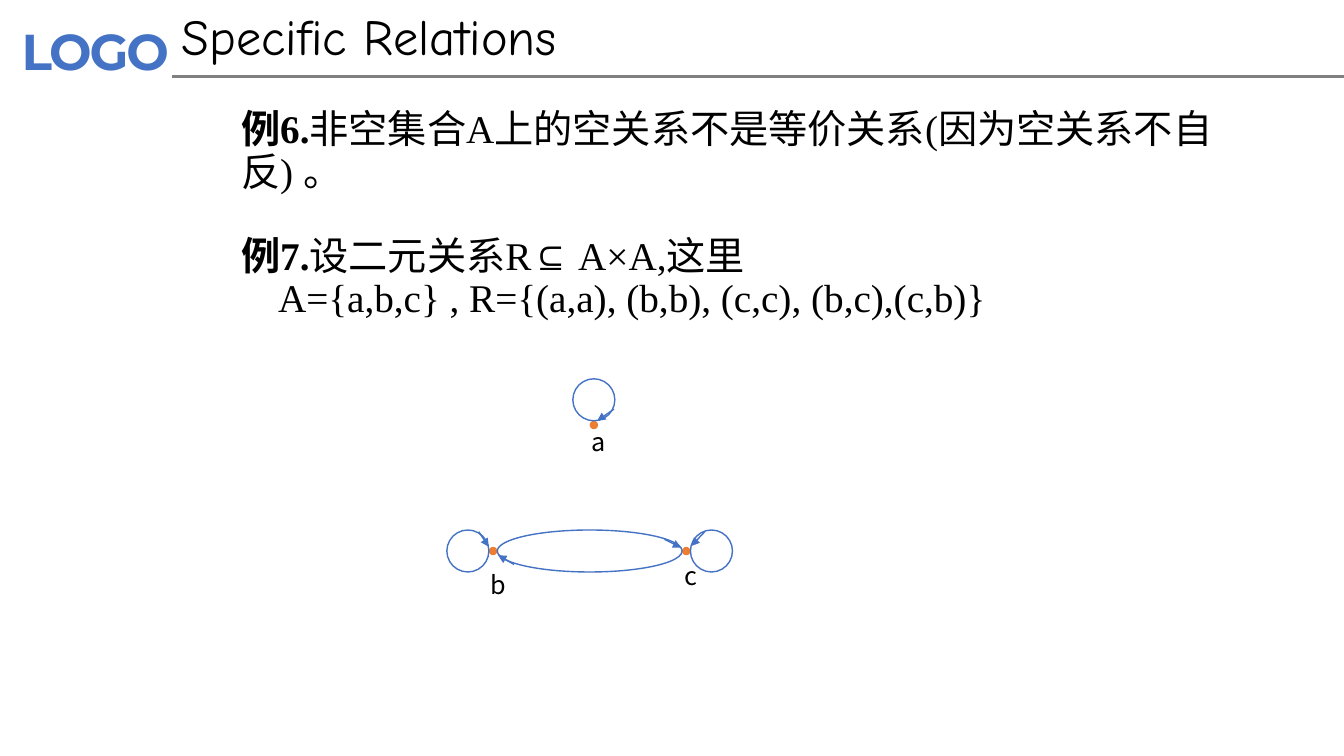
from dataclasses import dataclass

from lxml.etree import SubElement
from pptx import Presentation
from pptx.dml.color import RGBColor
from pptx.enum.shapes import MSO_CONNECTOR, MSO_SHAPE
from pptx.enum.text import MSO_ANCHOR, MSO_AUTO_SIZE, PP_ALIGN
from pptx.oxml.ns import qn
from pptx.util import Inches, Pt


@dataclass(frozen=True)
class Theme:
    ink: RGBColor = RGBColor(0x00, 0x00, 0x00)
    edge: RGBColor = RGBColor(0x44, 0x72, 0xC4)
    dot: RGBColor = RGBColor(0xED, 0x7D, 0x31)
    rule: RGBColor = RGBColor(0x80, 0x80, 0x80)
    head_size: int = 36
    body_size: int = 28
    label_size: int = 18
    head_font: str = "Comic Neue"
    body_font: str = "Times New Roman"
    logo_font: str = "Montserrat"
    cjk_font: str = "Noto Sans CJK SC"


@dataclass(frozen=True)
class Node:
    """Graph vertex: centre, side of its loop, label offset, loop arrow."""
    name: str
    x: float
    y: float
    side: tuple[int, int]
    label: tuple[float, float]
    arrow: tuple[float, float, float, float]


@dataclass(frozen=True)
class Line:
    """Body paragraph: bold lead, plain text, indent in cells, space before in points."""
    lead: str
    text: str
    indent: float = 0
    before: int = 0


THEME = Theme()
COLUMNS, ROWS = 80, 45
WIDTH, HEIGHT = Inches(13.33), Inches(7.5)
DOT, LOOP, LOOP_GAP = 0.5, 2.5, 1.5

LINES = [
    Line("例6.", "非空集合A上的空关系不是等价关系(因为空关系不自反) 。"),
    Line("例7.", "设二元关系R⊆ A×A,这里", before=30),
    Line("", "A={a,b,c} , R={(a,a), (b,b), (c,c), (b,c),(c,b)}", indent=2.2),
]
A = Node("a", 35.35, 25.3, (0, -1), (-0.75, -0.2), (1.2, -0.95, 0.2, -0.25))
B = Node("b", 29.35, 32.8, (-1, 0), (-0.75, 0.8), (-0.85, -1.15, -0.25, -0.25))
C = Node("c", 40.85, 32.8, (1, 0), (-0.7, 0.25), (1.1, -1.15, 0.3, -0.3))


def col(n: float) -> int:
    return round(WIDTH * n / COLUMNS)


def row(n: float) -> int:
    return round(HEIGHT * n / ROWS)


def box(x: float, y: float, w: float, h: float) -> tuple[int, int, int, int]:
    return col(x), row(y), col(w), row(h)


def style(r, font: str, size: int, color: RGBColor, bold: bool = False) -> None:
    r.font.name, r.font.size, r.font.bold = font, Pt(size), bold
    r.font.color.rgb = color
    SubElement(r.font._element, qn("a:ea")).set("typeface", THEME.cjk_font)


def place(sp, x: float, y: float, w: float, h: float):
    sp.left, sp.top, sp.width, sp.height = box(x, y, w, h)
    tf = sp.text_frame
    tf.word_wrap, tf.auto_size = True, MSO_AUTO_SIZE.NONE
    tf.vertical_anchor = MSO_ANCHOR.TOP
    return tf


def add_text(s, text: str, bounds: tuple[float, float, float, float],
             font: str, size: int, color: RGBColor, bold: bool = False):
    sp = s.shapes.add_textbox(*box(*bounds))
    tf = place(sp, *bounds)
    tf.text = text
    style(tf.paragraphs[0].runs[0], font, size, color, bold)
    return tf


def add_ellipse(s, x: float, y: float, w: float, h: float, filled: bool = False) -> None:
    sp = s.shapes.add_shape(MSO_SHAPE.OVAL, *box(x - w / 2, y - h / 2, w, h))
    sp.shadow.inherit = False
    if filled:
        sp.fill.solid()
        sp.fill.fore_color.rgb = THEME.dot
        sp.line.fill.background()
    else:
        sp.fill.background()
        sp.line.color.rgb, sp.line.width = THEME.edge, Pt(1)


def add_line(s, x1: float, y1: float, x2: float, y2: float,
             color: RGBColor, width: int, arrow: bool = False) -> None:
    ln = s.shapes.add_connector(MSO_CONNECTOR.STRAIGHT, col(x1), row(y1), col(x2), row(y2))
    ln.line.color.rgb, ln.line.width = color, Pt(width)
    if arrow:
        SubElement(ln.line._get_or_add_ln(), qn("a:tailEnd")).set("type", "triangle")
    SubElement(ln._element.spPr, qn("a:effectLst"))


def add_arrow(s, node: Node, offsets: tuple[float, float, float, float]) -> None:
    x1, y1, x2, y2 = offsets
    add_line(s, node.x + x1, node.y + y1, node.x + x2, node.y + y2, THEME.edge, 1, arrow=True)


def add_header(s) -> None:
    tf = add_text(s, "LOGO", (0.5, 0.8, 11.15, 4.45), THEME.logo_font,
                  THEME.head_size, THEME.edge, bold=True)
    tf.margin_left = tf.margin_right = Inches(0.13)
    tf.margin_top = tf.margin_bottom = Inches(0.07)
    tf.paragraphs[0].runs[0].font._element.set("spc", "-150")
    add_line(s, 10.25, 4.55, COLUMNS, 4.55, THEME.rule, 2)

    tf = place(s.shapes.title, 9.3, 0, 37.8, 4.25)
    tf.margin_left = col(1.5)
    tf.text = "Specific Relations"
    p = tf.paragraphs[0]
    p.alignment = PP_ALIGN.LEFT
    style(p.runs[0], THEME.head_font, THEME.head_size, THEME.ink)


def add_body(s) -> None:
    tf = place(s.placeholders[1], 13.75, 6.25, 63.85, 10.8)
    for i, line in enumerate(LINES):
        p = tf.paragraphs[0] if i == 0 else tf.add_paragraph()
        p.line_spacing, p.space_before = 0.9, Pt(line.before)
        pPr = p._p.get_or_add_pPr()
        pPr.set("marL", str(col(line.indent)))
        pPr.set("indent", "0")
        SubElement(pPr, qn("a:buNone"))
        for text, bold in ((line.lead, True), (line.text, False)):
            if text:
                r = p.add_run()
                r.text = text
                style(r, THEME.body_font, THEME.body_size, THEME.ink, bold)


def add_graph(s) -> None:
    for node in (A, B, C):
        dx, dy = node.side
        add_ellipse(s, node.x, node.y, DOT, DOT, filled=True)
        add_ellipse(s, node.x + dx * LOOP_GAP, node.y + dy * LOOP_GAP, LOOP, LOOP)
        add_arrow(s, node, node.arrow)
        lx, ly = node.label
        add_text(s, node.name, (node.x + lx, node.y + ly, 2.5, 2.6),
                 THEME.cjk_font, THEME.label_size, THEME.ink)
    # Pair of edges between b and c
    add_ellipse(s, (B.x + C.x) / 2, B.y, C.x - B.x - DOT, LOOP)
    add_arrow(s, C, (-1.3, -0.7, -0.3, -0.2))
    add_arrow(s, B, (1.25, 0.8, 0.3, 0.25))


def main() -> None:
    prs = Presentation()
    prs.slide_width, prs.slide_height = WIDTH, HEIGHT
    s = prs.slides.add_slide(prs.slide_layouts[1])
    add_header(s)
    add_body(s)
    add_graph(s)
    prs.save("out.pptx")


if __name__ == "__main__":
    main()
